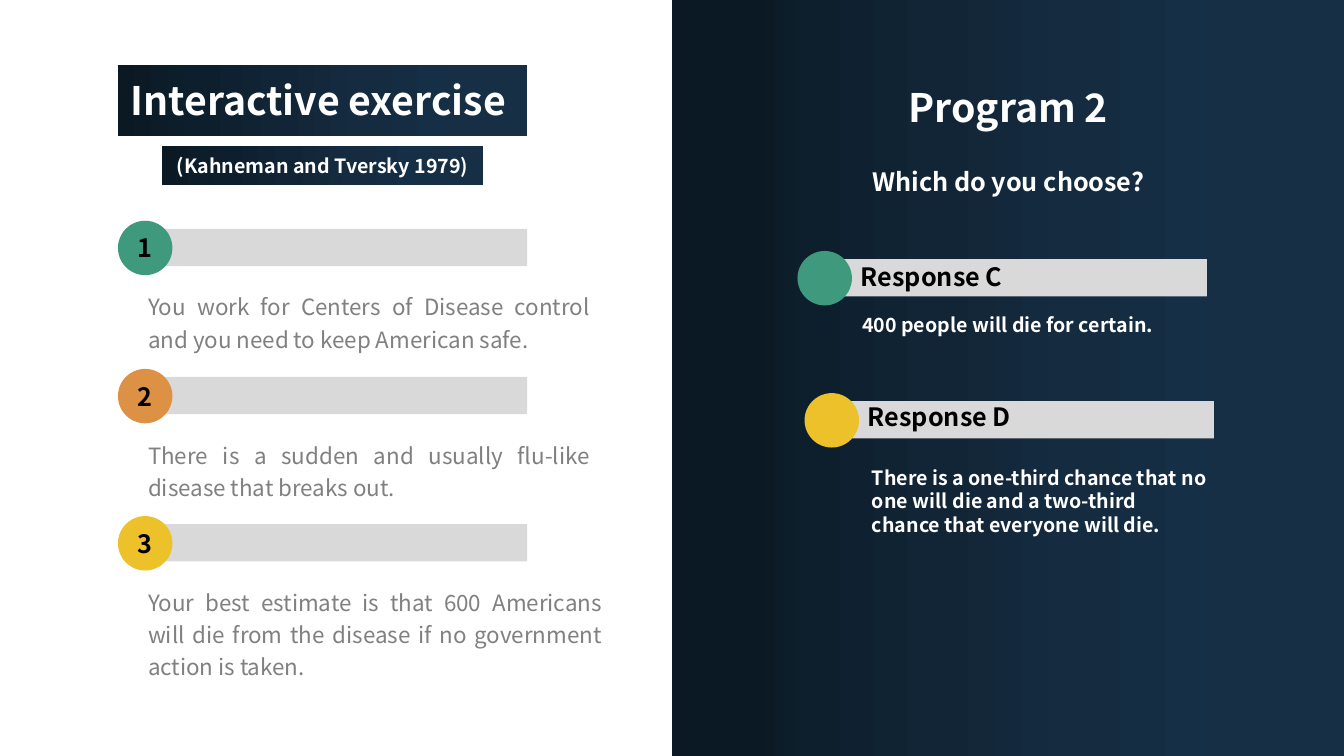
"""Build the interactive exercise slide with its steps and Program 2 responses."""
from dataclasses import dataclass

from lxml.etree import SubElement
from pptx import Presentation
from pptx.dml.color import RGBColor
from pptx.enum.shapes import MSO_SHAPE
from pptx.enum.text import MSO_ANCHOR, MSO_AUTO_SIZE, PP_ALIGN
from pptx.oxml.ns import qn
from pptx.util import Inches, Pt

FONT = "Noto Sans CJK SC"
WHITE = RGBColor(0xFF, 0xFF, 0xFF)
BLACK = RGBColor(0x00, 0x00, 0x00)
GREY = RGBColor(0x80, 0x80, 0x80)
BAR = RGBColor(0xD9, 0xD9, 0xD9)
GREEN = RGBColor(0x3F, 0x99, 0x7D)
ORANGE = RGBColor(0xDC, 0x91, 0x45)
YELLOW = RGBColor(0xEC, 0xC1, 0x29)
NAVY = [RGBColor(0x16, 0x2F, 0x45), RGBColor(0x15, 0x2F, 0x46), RGBColor(0x15, 0x2B, 0x40),
        RGBColor(0x12, 0x25, 0x36), RGBColor(0x0D, 0x1F, 0x2D), RGBColor(0x0B, 0x19, 0x24)]


@dataclass
class Box:
    left: float
    top: float
    width: float
    height: float

    def emu(self) -> list:
        return [Inches(v) for v in (self.left, self.top, self.width, self.height)]


@dataclass
class Style:
    size: float
    color: RGBColor = WHITE
    bold: bool = True
    align: PP_ALIGN = PP_ALIGN.LEFT
    spacing: float = 1.0


@dataclass
class Item:
    left: float
    top: float
    color: RGBColor
    label: str
    label_box: Box
    text: str
    text_box: Box
    style: Style


LABEL = Style(18, BLACK)
STEP = Style(16, GREY, False, PP_ALIGN.JUSTIFY, 1.2)
HEADING = Style(28, align=PP_ALIGN.CENTER)
QUESTION = Style(18, align=PP_ALIGN.CENTER)
CITATION = Style(14, align=PP_ALIGN.CENTER)
OUTCOME = Style(14)

STEPS = [
    (2.19, GREEN, "You work for Centers of Disease control and you need to keep American safe.", 4.58, 0.75),
    (3.66, ORANGE, "There is a sudden and usually flu-like disease that breaks out.", 4.58, 0.75),
    (5.12, YELLOW, "Your best estimate is that 600 Americans will die from the disease "
                   "if no government action is taken.", 4.7, 1.07),
]
ITEMS = [
    Item(1.17, top, color, str(n), Box(1.27, top + 0.07, 0.39, 0.4),
         text, Box(1.37, top + 0.62, width, height), STEP)
    for n, (top, color, text, width, height) in enumerate(STEPS, 1)
] + [
    Item(7.91, 2.49, GREEN, "Response C", Box(8.44, 2.54, 2.25, 0.4),
         "400 people will die for certain.", Box(8.28, 3.06, 3.43, 0.34), CITATION),
    Item(7.98, 3.9, YELLOW, "Response D", Box(8.51, 3.93, 2.25, 0.4),
         "There is a one-third chance that no one will die and a two-third chance "
         "that everyone will die.", Box(8.55, 4.57, 3.54, 0.81), OUTCOME),
]


def write(sp, text: str, style: Style) -> None:
    tf = sp.text_frame
    tf.word_wrap = True
    p = tf.paragraphs[0]
    p.text = text
    p.alignment = style.align
    p.line_spacing = style.spacing
    p.font.name = FONT
    p.font.size = Pt(style.size)
    p.font.bold = style.bold
    p.font.color.rgb = style.color


def add_text(s, box: Box, text: str, style: Style) -> None:
    sp = s.shapes.add_textbox(*box.emu())
    write(sp, text, style)
    sp.text_frame.auto_size = MSO_AUTO_SIZE.SHAPE_TO_FIT_TEXT


def add_shape(s, kind: MSO_SHAPE, box: Box, color: RGBColor):
    sp = s.shapes.add_shape(kind, *box.emu())
    sp.shadow.inherit = False
    sp.line.fill.background()
    sp.fill.solid()
    sp.fill.fore_color.rgb = color
    return sp


def fill_navy(sp, last_stop: int) -> None:
    sp.fill.gradient()
    sp.fill.gradient_angle = 180
    stops = sp.fill._xPr.find(qn("a:gradFill")).find(qn("a:gsLst"))
    for gs in list(stops):
        stops.remove(gs)
    for position, color in zip([0, 20, 40, 60, 80, last_stop], NAVY):
        gs = SubElement(stops, qn("a:gs"), pos=str(position * 1000))
        SubElement(gs, qn("a:srgbClr"), val=str(color))


def add_item(s, item: Item) -> None:
    add_shape(s, MSO_SHAPE.RECTANGLE, Box(item.left + 0.3, item.top + 0.08, 3.76, 0.37), BAR)
    add_shape(s, MSO_SHAPE.OVAL, Box(item.left, item.top, 0.54, 0.54), item.color)
    add_text(s, item.label_box, item.label, LABEL)
    add_text(s, item.text_box, item.text, item.style)


def main() -> None:
    prs = Presentation()
    prs.slide_width, prs.slide_height = Inches(13.33), Inches(7.5)
    s = prs.slides.add_slide(prs.slide_layouts[5])

    title = s.shapes.title
    title.left, title.top, title.width, title.height = Box(1.17, 0.64, 4.06, 0.71).emu()
    fill_navy(title, 100)
    write(title, "Interactive exercise ", HEADING)
    title.text_frame.auto_size = MSO_AUTO_SIZE.NONE
    title.text_frame.vertical_anchor = MSO_ANCHOR.MIDDLE

    citation = add_shape(s, MSO_SHAPE.RECTANGLE, Box(1.61, 1.45, 3.18, 0.39), NAVY[0])
    fill_navy(citation, 100)
    write(citation, "(Kahneman and Tversky 1979)", CITATION)
    citation.text_frame.vertical_anchor = MSO_ANCHOR.MIDDLE

    panel = add_shape(s, MSO_SHAPE.RECTANGLE, Box(6.67, 0, 6.66, 7.5), NAVY[0])
    fill_navy(panel, 88)
    add_text(s, Box(8.56, 0.78, 2.88, 0.57), "Program 2", HEADING)
    add_text(s, Box(7.49, 1.6, 5.02, 0.4), "Which do you choose?", QUESTION)

    for item in ITEMS:
        add_item(s, item)
    prs.save("out.pptx")


if __name__ == "__main__":
    main()
